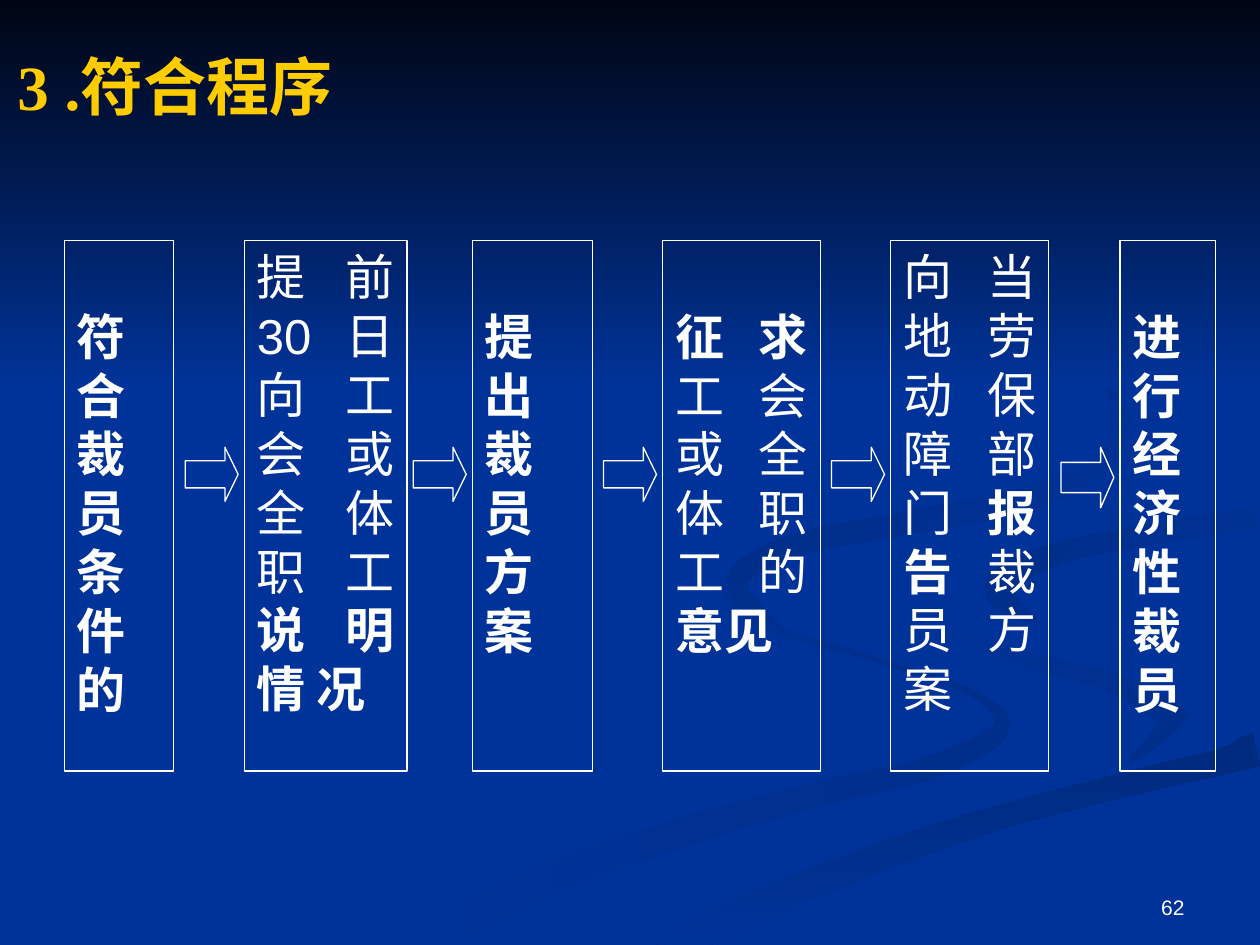
from itertools import pairwise
from math import hypot
from typing import NamedTuple

from lxml.etree import SubElement
from pptx import Presentation
from pptx.dml.color import RGBColor
from pptx.enum.shapes import MSO_SHAPE
from pptx.enum.text import MSO_ANCHOR, PP_ALIGN
from pptx.oxml.ns import qn
from pptx.util import Inches, Pt

COLORS = {
    "blue": "003399", "night": "000514", "white": "FFFFFF", "gold": "FFCC00",
    "ribbon": "002E8B", "shade": "002A7D", "hook": "002D86", "curl": "002B82",
}
CJK, LATIN, TITLE = "Noto Sans CJK SC", "Arial", "Times New Roman"
PAGE_WIDTH, PAGE_HEIGHT = 10, 7.5
STEP_TOP, STEP_HEIGHT, LINE_HEIGHT, MARGIN = 1.91, 4.21, 0.47, 0.05
ARROW_TOP, ARROW_WIDTH, ARROW_LEAD = 3.55, 0.42, 0.47
RIGHTWARD, DIAGONAL, DOWNWARD = 0, 315, 270
SAMPLES = 6


class Swirl(NamedTuple):
    """A curved band: its centre line as (x, y, thickness) and its gradient."""

    first: str
    last: str
    angle: int
    centre_line: list


class Span(NamedTuple):
    """A piece of text in one weight and font."""

    text: str
    bold: bool = False
    name: str = CJK


class Step(NamedTuple):
    """One step of the procedure; its text starts on the given line."""

    left: float
    width: float
    first_line: int
    spans: list
    arrow_height: float = 0.43


SWIRLS = [
    Swirl("blue", "ribbon", RIGHTWARD, [
        (3, 7.65, 0.27), (4.24, 7.02, 0.26), (5.4, 6.61, 0.23), (6.5, 6.3, 0.19),
        (7.35, 6.1, 0.18), (7.93, 5.8, 0.14), (7.75, 5.52, 0.05),
        (6.97, 5.24, 0.04), (6.1, 4.97, 0.06), (5.74, 4.68, 0.05), (5.75, 4.59, 0)]),
    Swirl("blue", "ribbon", DIAGONAL, [
        (7.24, 4.64, 0), (7.4, 4.9, 0.08), (8, 5.18, 0.14), (8.75, 5.39, 0.15),
        (9.2, 5.6, 0.2), (9.3, 5.78, 0.25), (8.94, 6.05, 0)]),
    Swirl("shade", "blue", DOWNWARD, [
        (5.2, 7.6, 0.27), (5.65, 7.36, 0.27), (6.3, 7.06, 0.24),
        (7.64, 6.57, 0.21), (8.67, 6.29, 0.19), (9.98, 5.95, 0.27)]),
    Swirl("blue", "blue", RIGHTWARD, [
        (9.99, 3.95, 0.15), (9.2, 4.09, 0.15), (8.3, 4.23, 0.16), (7.53, 4.62, 0.5),
        (8.2, 5.05, 0.25), (9.05, 5.3, 0.2), (9.71, 5.6, 0.56), (9.04, 6.06, 0.07),
        (7.43, 6.48, 0.1), (5.73, 7.1, 0.13), (4.8, 7.58, 0.2)]),
    Swirl("hook", "blue", DIAGONAL, [
        (9.98, 4.11, 0.17), (9, 4.26, 0.16), (8.28, 4.43, 0.18),
        (7.93, 4.68, 0.24), (8.26, 4.96, 0)]),
    Swirl("curl", "blue", DIAGONAL, [
        (7.62, 2.33, 0), (8.45, 2.78, 0.03), (8.88, 3.2, 0.06), (8.91, 3.4, 0.06),
        (8.7, 3.72, 0.14), (8.1, 3.97, 0.18), (7.1, 4.17, 0.18),
        (6.3, 4.33, 0.17), (5.85, 4.62, 0.16), (6.22, 5, 0)]),
]
STEPS = [
    Step(0.51, 0.87, 1, [Span("符合裁员条件的", True)]),
    Step(1.94, 1.29, 0, [Span("提前"), Span("30", name=LATIN),
                         Span("日向工会或全体职工"), Span("说明情 况", True)]),
    Step(3.75, 0.95, 1, [Span("提出裁员方案", True)]),
    Step(5.26, 1.25, 1, [Span("征求", True), Span("工会或全体职工的"),
                         Span("意见", True)]),
    Step(7.07, 1.25, 0, [Span("向当地劳动保障部门"), Span("报告", True),
                         Span("裁员方案")]),
    Step(8.89, 0.76, 1, [Span("进行经济性裁员", True)], arrow_height=0.48),
]


def color(name):
    """Return the named palette colour."""
    return RGBColor.from_string(COLORS[name])


def smooth(stations):
    """Return a Catmull-Rom curve through the stations."""
    padded = [stations[0], *stations, stations[-1]]
    curve = []
    for before, start, end, after in zip(padded, padded[1:], padded[2:], padded[3:]):
        for sample in range(SAMPLES):
            t = sample / SAMPLES
            curve.append(tuple(
                b + (c - a) * t / 2 + (a - 2.5 * b + 2 * c - d / 2) * t ** 2
                + (1.5 * (b - c) + (d - a) / 2) * t ** 3
                for a, b, c, d in zip(before, start, end, after)))
    return [*curve, stations[-1]]


def band_outline(centre_line):
    """Return both edges of a band as one closed outline kept on the page."""
    curve = smooth(centre_line)
    left_edge, right_edge = [], []
    for index, (x, y, thickness) in enumerate(curve):
        previous = curve[max(index - 1, 0)]
        following = curve[min(index + 1, len(curve) - 1)]
        run, rise = following[0] - previous[0], following[1] - previous[1]
        reach = max(thickness, 0) / 2 / hypot(run, rise)
        for edge, side in ((left_edge, reach), (right_edge, -reach)):
            edge.append((min(x - rise * side, PAGE_WIDTH),
                         min(y + run * side, PAGE_HEIGHT)))
    return left_edge + right_edge[::-1]


class Painter:
    """Holds the style and the current slide."""

    def __init__(self, page):
        """Take the page and paint its background."""
        self.page = page
        page.background.fill.solid()
        page.background.fill.fore_color.rgb = color("blue")

    def shade(self, shape, first, last, angle):
        """Fill a shape without outline from one colour to another."""
        shape.shadow.inherit = False
        shape.line.fill.background()
        shape.fill.gradient()
        shape.fill.gradient_angle = angle
        for stop, name in zip(shape.fill.gradient_stops, (first, last)):
            stop.color.rgb = color(name)

    def swirl(self, swirl):
        """Draw a curved band of the background."""
        corners = [(Inches(x), Inches(y)) for x, y in band_outline(swirl.centre_line)]
        builder = self.page.shapes.build_freeform(*corners[0])
        builder.add_line_segments(corners[1:], close=True)
        self.shade(builder.convert_to_shape(), swirl.first, swirl.last, swirl.angle)

    def sky(self, height):
        """Darken the top of the page."""
        band = self.page.shapes.add_shape(
            MSO_SHAPE.RECTANGLE, 0, 0, Inches(PAGE_WIDTH), Inches(height))
        self.shade(band, "night", "blue", DOWNWARD)

    def style(self, paragraph, size, name, tint, align):
        """Set the common look of a paragraph."""
        paragraph.alignment = align
        font = paragraph.font
        font.size, font.name = Pt(size), name
        font.color.rgb = color(tint)
        properties = paragraph._p.pPr.find(qn("a:defRPr"))
        SubElement(properties, qn("a:ea")).set("typeface", CJK)

    def label(self, frame, text, size, name, tint, align, anchor, bold=False):
        """Place a single line of text."""
        box = self.page.shapes.add_textbox(*map(Inches, frame)).text_frame
        box.word_wrap, box.vertical_anchor = True, anchor
        paragraph = box.paragraphs[0]
        paragraph.text = text
        self.style(paragraph, size, name, tint, align)
        paragraph.font.bold = bold

    def outline(self, kind, *frame):
        """Draw a hollow shape with a thin white line."""
        shape = self.page.shapes.add_shape(kind, *map(Inches, frame))
        shape.shadow.inherit = False
        shape.fill.background()
        shape.line.color.rgb = color("white")
        shape.line.width = Pt(0.75)
        return shape

    def step(self, step):
        """Draw one step of the procedure."""
        box = self.outline(MSO_SHAPE.RECTANGLE, step.left, STEP_TOP,
                           step.width, STEP_HEIGHT).text_frame
        box.word_wrap, box.vertical_anchor = True, MSO_ANCHOR.TOP
        box.margin_top = Inches(MARGIN + LINE_HEIGHT * step.first_line)
        paragraph = box.paragraphs[0]
        self.style(paragraph, 28, CJK, "white", PP_ALIGN.JUSTIFY)
        for piece in step.spans:
            span = paragraph.add_run()
            span.text = piece.text
            span.font.bold, span.font.name = piece.bold, piece.name

    def arrow_to(self, step):
        """Draw the arrow that leads to a step."""
        shape = self.outline(MSO_SHAPE.RIGHT_ARROW, step.left - ARROW_LEAD, ARROW_TOP,
                             ARROW_WIDTH, step.arrow_height)
        shape.adjustments[0], shape.adjustments[1] = 0.5, 0.25


def main():
    """Build and save the deck."""
    deck = Presentation()
    deck.slide_width, deck.slide_height = Inches(PAGE_WIDTH), Inches(PAGE_HEIGHT)
    painter = Painter(deck.slides.add_slide(deck.slide_layouts[6]))
    for swirl in SWIRLS:
        painter.swirl(swirl)
    painter.sky(3.08)
    painter.label((7.17, 6.83, 2.33, 0.52), "62", 12, LATIN, "white",
                  PP_ALIGN.RIGHT, MSO_ANCHOR.BOTTOM)
    painter.label((0.04, 0.05, 9, 1.25), "3 .符合程序", 36, TITLE, "gold",
                  PP_ALIGN.LEFT, MSO_ANCHOR.MIDDLE, bold=True)
    painter.step(STEPS[0])
    for _, following in pairwise(STEPS):
        painter.arrow_to(following)
        painter.step(following)
    deck.save("out.pptx")


if __name__ == "__main__":
    main()
